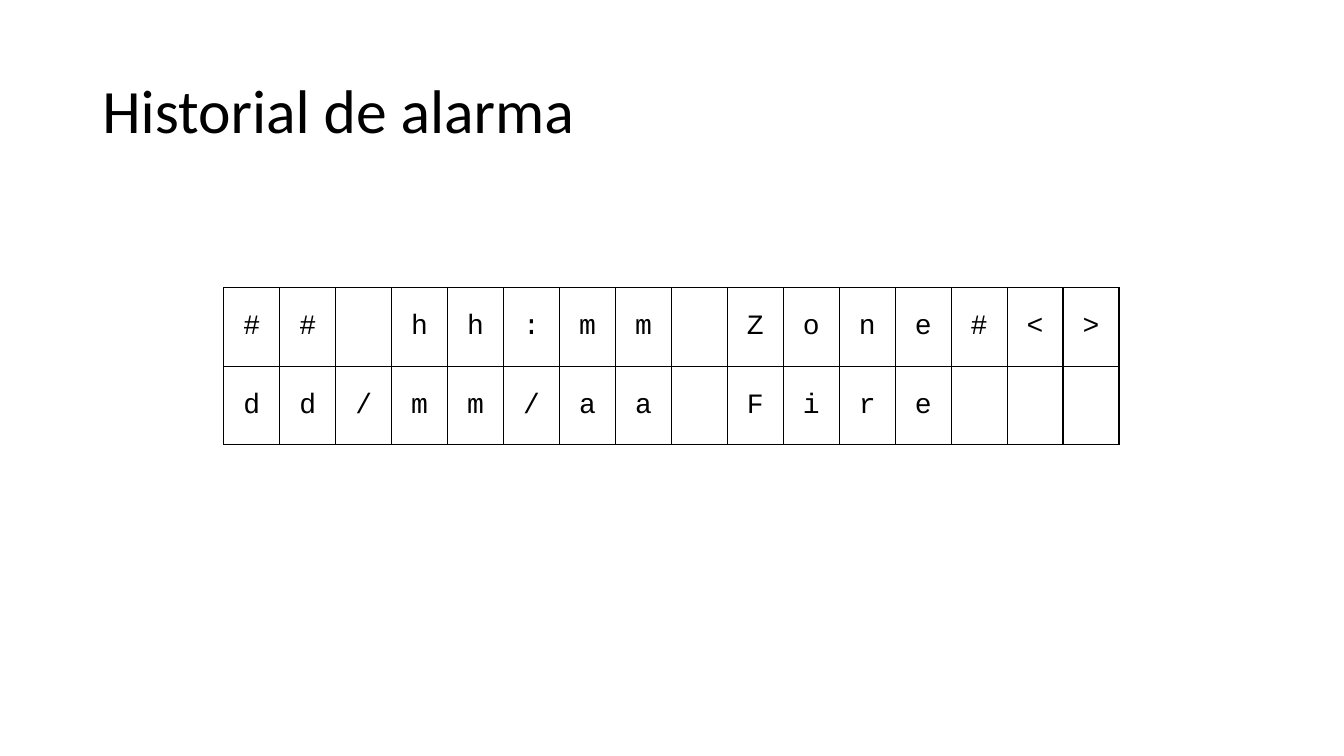
from dataclasses import dataclass

import lxml.etree
import pptx
import pptx.dml.color
import pptx.enum.text
import pptx.oxml.ns
import pptx.util
from pptx.util import Cm

BLACK = "000000"
DISPLAY_COLUMNS = 16
CELL_WIDTH, CELL_HEIGHT = Cm(1.41), Cm(1.98)
BORDER_WIDTH = pptx.util.Pt(1)


@dataclass
class DisplayLine:
    """One line of the alarm panel display, one character per cell."""
    text: str

    def characters(self) -> str:
        return self.text.ljust(DISPLAY_COLUMNS)


@dataclass
class TextStyle:
    font: str
    size: float
    align: pptx.enum.text.PP_ALIGN
    line_spacing: float = 1.0


HEADING = TextStyle("Calibri", 44, pptx.enum.text.PP_ALIGN.LEFT, 0.9)
DISPLAY = TextStyle("Courier New", 20, pptx.enum.text.PP_ALIGN.CENTER)
DISPLAY_LINES = [DisplayLine("## hh:mm Zone#<>"), DisplayLine("dd/mm/aa Fire")]


def color(value: str) -> pptx.dml.color.RGBColor:
    return pptx.dml.color.RGBColor.from_string(value)


def set_formats(target: object, formats: dict) -> None:
    for name, value in formats.items():
        setattr(target, name, value)


def write_text(frame, text: str, style: TextStyle) -> None:
    paragraph = frame.paragraphs[0]
    set_formats(paragraph, {"alignment": style.align,
                            "line_spacing": style.line_spacing})
    set_formats(paragraph.font, {"name": style.font, "size": pptx.util.Pt(style.size)})
    if text:
        run = paragraph.add_run()
        run.text = text
        set_formats(run.font, {"name": style.font, "size": pptx.util.Pt(style.size)})
        run.font.color.rgb = color(BLACK)


def add_borders(cell) -> None:
    qn = pptx.oxml.ns.qn
    properties = cell._tc.get_or_add_tcPr()
    for position, side in enumerate(("a:lnL", "a:lnR", "a:lnT", "a:lnB")):
        border = lxml.etree.Element(qn(side), w=str(BORDER_WIDTH))
        fill = lxml.etree.SubElement(border, qn("a:solidFill"))
        lxml.etree.SubElement(fill, qn("a:srgbClr"), val=BLACK)
        properties.insert(position, border)


def add_heading(slide, text: str) -> None:
    heading = slide.shapes.add_textbox(Cm(2.33), Cm(1.01), Cm(29.21), Cm(3.68))
    set_formats(heading.text_frame, {
        "word_wrap": True,
        "vertical_anchor": pptx.enum.text.MSO_ANCHOR.MIDDLE,
    })
    write_text(heading.text_frame, text, HEADING)


def add_display(slide, lines: list[DisplayLine]) -> None:
    display = slide.shapes.add_table(
        len(lines), DISPLAY_COLUMNS, Cm(5.64), Cm(7.25),
        CELL_WIDTH * DISPLAY_COLUMNS, CELL_HEIGHT * len(lines)).table
    set_formats(display, {"first_row": False, "horz_banding": False})
    for column in display.columns:
        column.width = CELL_WIDTH
    for row, line in zip(display.rows, lines):
        row.height = CELL_HEIGHT
        for cell, character in zip(row.cells, line.characters()):
            cell.vertical_anchor = pptx.enum.text.MSO_ANCHOR.MIDDLE
            cell.fill.background()
            add_borders(cell)
            write_text(cell.text_frame, character.strip(), DISPLAY)


def main() -> None:
    presentation = pptx.Presentation()
    set_formats(presentation, {"slide_width": Cm(33.87), "slide_height": Cm(19.05)})
    slide = presentation.slides.add_slide(presentation.slide_layouts[6])

    # Alarm panel display
    add_display(slide, DISPLAY_LINES)

    # Heading
    add_heading(slide, "Historial de alarma")

    presentation.save("out.pptx")


if __name__ == "__main__":
    main()
